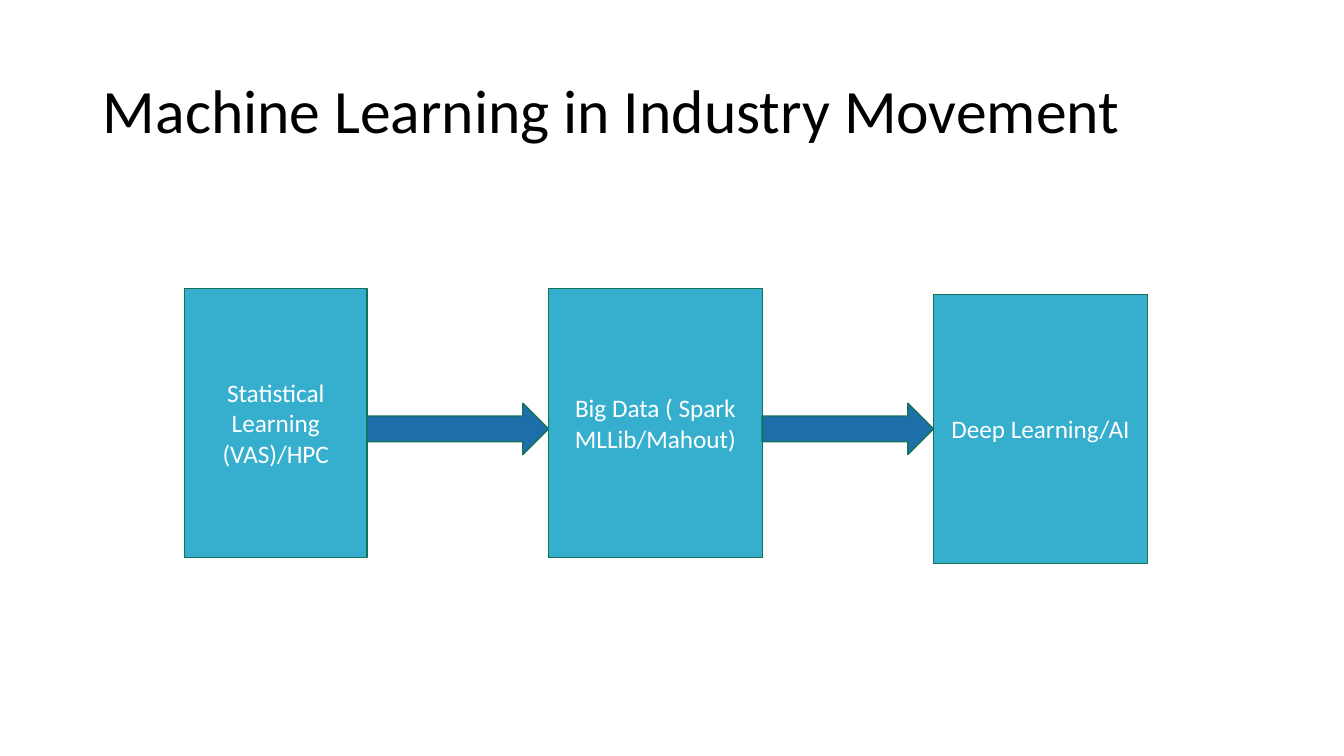
from pptx import Presentation
from pptx.dml.color import RGBColor
from pptx.enum.shapes import MSO_SHAPE
from pptx.enum.text import MSO_ANCHOR, MSO_AUTO_SIZE, PP_ALIGN
from pptx.util import Inches, Pt


def paint(color, code):
    color.rgb = RGBColor.from_string(code)


class Deck:
    font = "Calibri"
    edge = "157259"

    def __init__(self, slide):
        self.slide = slide

    def label(self, frame, text, size, code, align):
        frame.word_wrap = True
        frame.auto_size = MSO_AUTO_SIZE.NONE
        frame.vertical_anchor = MSO_ANCHOR.MIDDLE
        para = frame.paragraphs[0]
        para.text = text
        para.alignment = align
        para.font.name = self.font
        para.font.size = Pt(size)
        paint(para.font.color, code)
        return para

    def title(self, text, left, top, width, height):
        head = self.slide.shapes.title
        head.left, head.top = Inches(left), Inches(top)
        head.width, head.height = Inches(width), Inches(height)
        para = self.label(head.text_frame, text, 44, "000000", PP_ALIGN.LEFT)
        para.line_spacing = 0.9

    def shape(self, kind, left, top, width, height, fill):
        item = self.slide.shapes.add_shape(
            kind, Inches(left), Inches(top), Inches(width), Inches(height))
        item.shadow.inherit = False
        item.fill.solid()
        paint(item.fill.fore_color, fill)
        paint(item.line.color, self.edge)
        item.line.width = Pt(1)
        return item

    def stage(self, text, left, top, width):
        box = self.shape(MSO_SHAPE.RECTANGLE, left, top, width, 2.67, "36AFCE")
        self.label(box.text_frame, text, 18, "FFFFFF", PP_ALIGN.CENTER)

    def arrow(self, start, end):
        self.shape(MSO_SHAPE.RIGHT_ARROW, start, 4, end - start, 0.51, "1D6FA9")


def main():
    show = Presentation()
    show.slide_width, show.slide_height = Inches(13.33), Inches(7.5)
    deck = Deck(show.slides.add_slide(show.slide_layouts[5]))

    # Title
    deck.title("Machine Learning in Industry Movement", 0.92, 0.4, 11.5, 1.45)

    # Stages: text, left, top, width
    stages = [
        ("Statistical Learning (VAS)/HPC", 1.83, 2.86, 1.81),
        ("Big Data ( Spark MLLib/Mahout)", 5.44, 2.86, 2.12),
        ("Deep Learning/AI", 9.26, 2.92, 2.12),
    ]
    for stage in stages:
        deck.stage(*stage)

    # Arrows from each stage to the next
    for (_, left, _, width), (_, end, _, _) in zip(stages, stages[1:]):
        deck.arrow(left + width, end)

    show.save("out.pptx")


if __name__ == "__main__":
    main()
